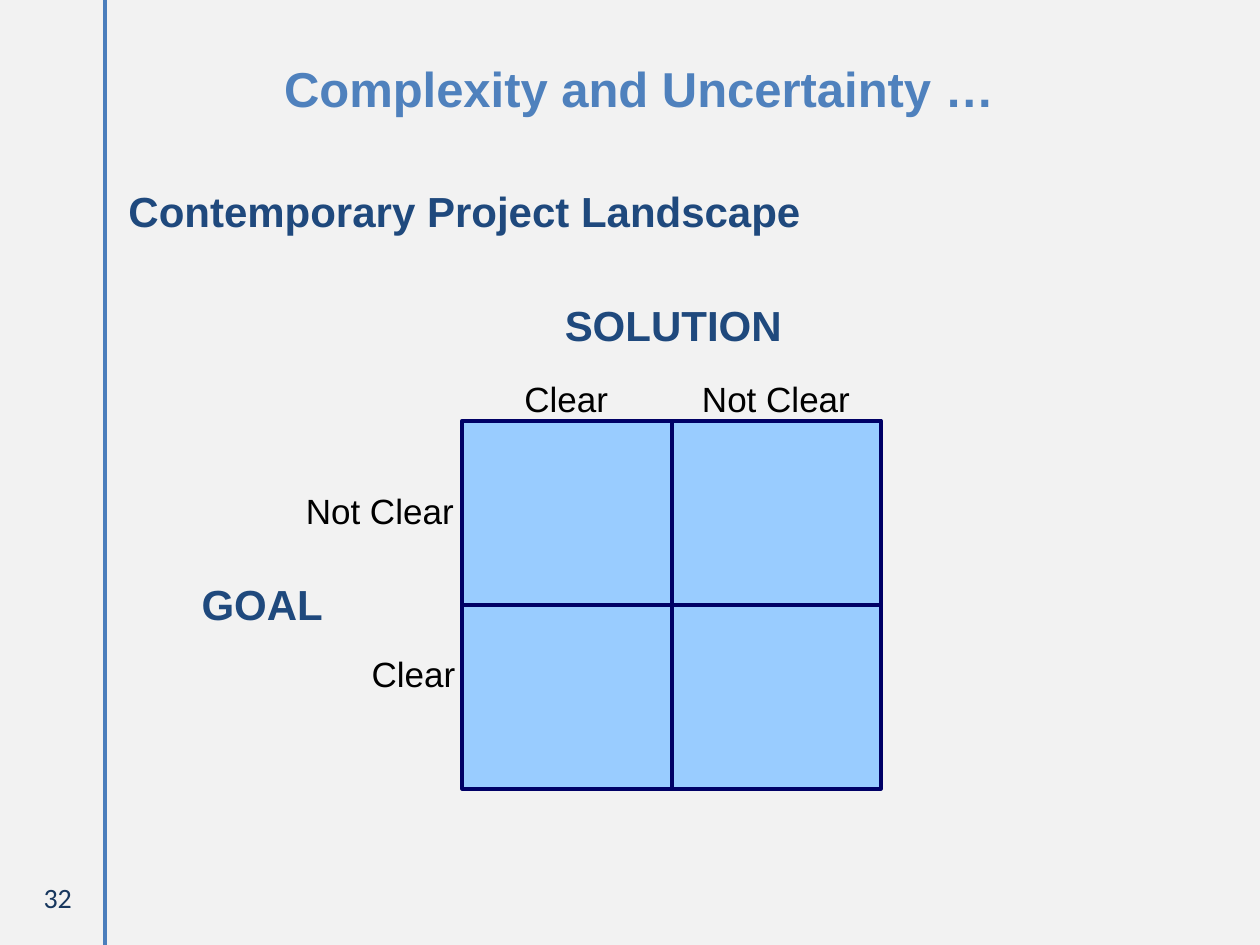
from pptx import Presentation
from pptx.dml.color import RGBColor
from pptx.enum.shapes import MSO_CONNECTOR, MSO_SHAPE
from pptx.enum.text import MSO_ANCHOR as Anchor, PP_ALIGN as Align
from pptx.oxml.ns import qn
from pptx.util import Cm, Pt
from lxml.etree import SubElement

PAPER = RGBColor(0xF2, 0xF2, 0xF2)
RULE = RGBColor(0x4B, 0x7E, 0xBC)
TITLE = RGBColor(0x4F, 0x81, 0xBD)
NAVY = RGBColor(0x1F, 0x49, 0x7D)
NUMBER = RGBColor(0x17, 0x37, 0x5E)
BLACK = RGBColor(0, 0, 0)
CELL = RGBColor(0x99, 0xCC, 0xFF)
BORDER = RGBColor(0, 0, 0x66)

WIDTH, HEIGHT = 25.4, 19.05
RULE_X = 2.11
GRID_LEFT, GRID_TOP = 9.32, 8.48
CELL_WIDTH, CELL_HEIGHT = 4.22, 3.71

STYLES = {
    "title": ("Arial", 28, TITLE, True),
    "heading": ("Arial", 24, NAVY, True),
    "label": ("Arial", 20, BLACK, False),
    "number": ("Calibri", 16, NUMBER, False),
}

TEXTS = [
    ("GOAL", "heading", (3.81, 11.53, 2.95, 1.27), Align.RIGHT, Anchor.TOP, False),
    ("SOLUTION", "heading", (11.13, 5.92, 4.88, 1.27), Align.RIGHT, Anchor.TOP, False),
    ("Clear", "label", (6.99, 13.03, 2.44, 1.12), Align.RIGHT, Anchor.TOP, True),
    ("Not Clear", "label", (4.24, 9.75, 5.16, 1.12), Align.RIGHT, Anchor.TOP, True),
    ("Not Clear", "label", (13.89, 7.49, 3.51, 1.09), Align.CENTER, Anchor.TOP, False),
    ("Clear", "label", (10.31, 7.49, 2.21, 1.09), Align.CENTER, Anchor.TOP, False),
    ("Contemporary Project Landscape", "heading", (2.34, 3.58, 22.43, 1.3),
     Align.LEFT, Anchor.BOTTOM, True),
    ("Complexity and Uncertainty …", "title", (0.36, 0.69, 25.04, 1.8),
     Align.CENTER, Anchor.BOTTOM, True),
    ("32", "number", (0.43, 17.58, 1.27, 1.02), Align.RIGHT, Anchor.MIDDLE, True),
]


def add_rule(page):
    rule = page.shapes.add_connector(
        MSO_CONNECTOR.STRAIGHT, Cm(RULE_X), Cm(0), Cm(RULE_X), Cm(HEIGHT))
    rule.line.color.rgb = RULE
    rule.line.width = Pt(2.25)
    SubElement(rule.element.spPr, qn("a:effectLst"))


def add_cell(page, row, column):
    cell = page.shapes.add_shape(
        MSO_SHAPE.RECTANGLE,
        Cm(GRID_LEFT + column * CELL_WIDTH), Cm(GRID_TOP + row * CELL_HEIGHT),
        Cm(CELL_WIDTH), Cm(CELL_HEIGHT))
    cell.shadow.inherit = False
    cell.fill.solid()
    cell.fill.fore_color.rgb = CELL
    cell.line.color.rgb = BORDER
    cell.line.width = Pt(2.25)


def add_text(page, text, style, place, align, anchor, wrap):
    box = page.shapes.add_textbox(*map(Cm, place))
    frame = box.text_frame
    frame.word_wrap = wrap
    frame.vertical_anchor = anchor
    para = frame.paragraphs[0]
    para.text = text
    para.alignment = align
    font = para.font
    font.name, size, font.color.rgb, font.bold = STYLES[style]
    font.size = Pt(size)


def main():
    deck = Presentation()
    deck.slide_width, deck.slide_height = Cm(WIDTH), Cm(HEIGHT)
    page = deck.slides.add_slide(deck.slide_layouts[6])
    page.background.fill.solid()
    page.background.fill.fore_color.rgb = PAPER
    add_rule(page)
    for row in range(2):
        for column in range(2):
            add_cell(page, row, column)
    for entry in TEXTS:
        add_text(page, *entry)
    deck.save("out.pptx")


if __name__ == "__main__":
    main()
